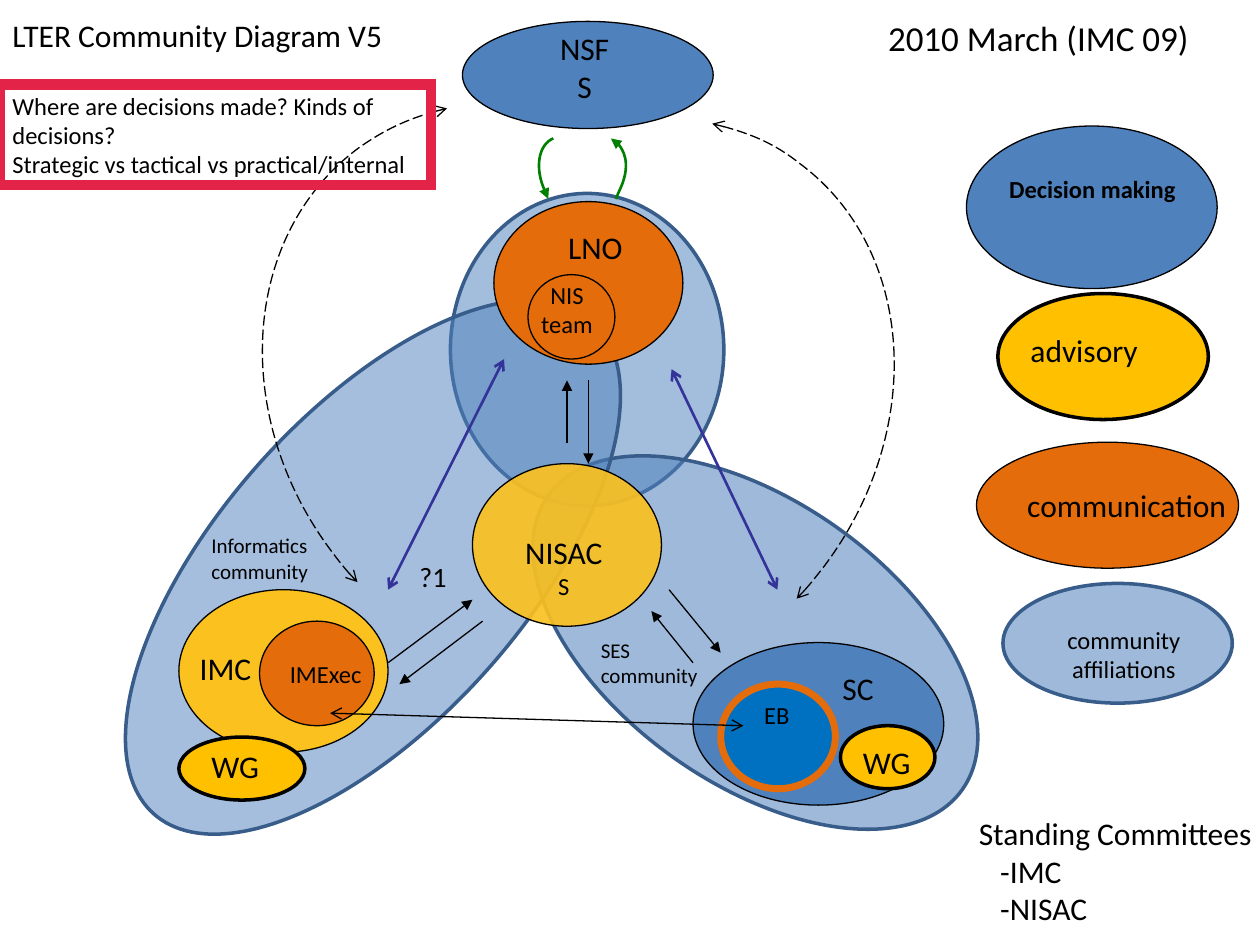
from math import cos, radians, sin

from lxml.etree import SubElement
from pptx import Presentation
from pptx.dml.color import RGBColor
from pptx.enum.dml import MSO_LINE
from pptx.enum.shapes import MSO_CONNECTOR, MSO_SHAPE
from pptx.enum.text import MSO_ANCHOR, MSO_AUTO_SIZE, PP_ALIGN
from pptx.oxml.ns import qn
from pptx.util import Inches, Pt

BLACK, NAVY, GREEN, VIOLET, CRIMSON = "000000", "385D8A", "008000", "333399", "E42349"
BLUE, BRIGHT_BLUE, ORANGE = "4F81BD", "0070C0", "E46C0A"
YELLOW, AMBER = "FBC11F", "FFC000"


def rgb(color):
    """Turn a hex string into a colour."""
    return RGBColor.from_string(color)


def outline(shape, color, width):
    """Give a shape or connector its line colour and width."""
    shape.line.color.rgb = rgb(color)
    shape.line.width = Pt(width)


def add_arrowheads(shape, head=None, tail=None):
    """Put arrowheads on the start and the end of a line."""
    line = shape.line._get_or_add_ln()
    for tag, kind in (("a:headEnd", head), ("a:tailEnd", tail)):
        if kind:
            SubElement(line, qn(tag), type=kind)


def write(shape, text, size=18, bold=False, align=PP_ALIGN.LEFT, wrap=True,
          anchor=MSO_ANCHOR.TOP, autofit=MSO_AUTO_SIZE.SHAPE_TO_FIT_TEXT,
          last_size=None, indent=0):
    """Fill a shape with one paragraph per line of text."""
    frame = shape.text_frame
    frame.word_wrap = wrap
    frame.auto_size = autofit
    frame.vertical_anchor = anchor
    lines = text.split("\n")
    for number, line in enumerate(lines):
        paragraph = frame.paragraphs[0] if number == 0 else frame.add_paragraph()
        paragraph.alignment = align
        if indent and number:
            paragraph._p.get_or_add_pPr().set("marL", str(Inches(indent)))
        run = paragraph.add_run()
        run.text = line
        is_last = number == len(lines) - 1
        run.font.size = Pt(last_size if last_size and is_last else size)
        run.font.name = "Calibri"
        run.font.bold = bold
        run.font.color.rgb = rgb(BLACK)


def add_label(shapes, box, text, **style):
    """Place a text box."""
    write(shapes.add_textbox(*map(Inches, box)), text, **style)


def add_centered(shapes, box, text, **style):
    """Place a text box with centred paragraphs."""
    add_label(shapes, box, text, align=PP_ALIGN.CENTER, **style)


def add_ellipse(shapes, box, fill, line=BLACK, width=0.75, opacity=None, rotation=0):
    """Draw an ellipse, with an optional opacity in percent."""
    ellipse = shapes.add_shape(MSO_SHAPE.OVAL, *map(Inches, box))
    ellipse.shadow.inherit = False
    ellipse.rotation = rotation
    ellipse.fill.solid()
    ellipse.fill.fore_color.rgb = rgb(fill)
    if opacity:
        color = ellipse._element.spPr.find(qn("a:solidFill"))[0]
        SubElement(color, qn("a:alpha"), val=str(opacity * 1000))
    outline(ellipse, line, width)
    return ellipse


def add_community(shapes, box, opacity, rotation):
    """Draw a translucent community ellipse."""
    add_ellipse(shapes, box, BLUE, NAVY, 2, opacity, rotation)


def add_arrow(shapes, start, end, color=BLACK, width=0.75, head=None, tail="triangle"):
    """Draw a straight arrow."""
    arrow = shapes.add_connector(MSO_CONNECTOR.STRAIGHT, *map(Inches, start + end))
    outline(arrow, color, width)
    add_arrowheads(arrow, head, tail)
    SubElement(arrow._element.spPr, qn("a:effectLst"))


def turn_back(point, center, angle):
    """Undo a rotation of a point and return it in slide units."""
    x, y = point[0] - center[0], point[1] - center[1]
    c, s = cos(radians(angle)), sin(radians(angle))
    return Inches(center[0] + x * c + y * s), Inches(center[1] - x * s + y * c)


def add_curve(shapes, nodes, center, rotation, color, width, head=None, tail=None, dash=None):
    """Draw a rotated open curve through chained cubic pieces."""
    start, *others = [turn_back(node, center, rotation) for node in nodes]
    builder = shapes.build_freeform(*start)
    builder.add_line_segments(others, close=False)
    curve = builder.convert_to_shape()
    segments = list(curve._element.iter(qn("a:lnTo")))
    outline_data = segments[0].getparent()
    for first in range(0, len(segments), 3):
        piece = SubElement(outline_data, qn("a:cubicBezTo"))
        for segment in segments[first:first + 3]:
            piece.append(segment[0])
            outline_data.remove(segment)
    curve.rotation = rotation
    curve.shadow.inherit = False
    curve.fill.background()
    outline(curve, color, width)
    if dash:
        curve.line.dash_style = dash
    add_arrowheads(curve, head, tail)


def add_question(shapes):
    """Draw the framed question."""
    frame = shapes.add_shape(MSO_SHAPE.RECTANGLE, *map(Inches, (0, 0.67, 3.42, 0.8)))
    frame.shadow.inherit = False
    frame.fill.background()
    outline(frame, CRIMSON, 6)
    SubElement(frame.line._get_or_add_ln(), qn("a:miter"), lim="800000")
    write(frame, "Where are decisions made? Kinds of decisions?\n"
                 "Strategic vs tactical vs practical/internal",
          size=14, autofit=MSO_AUTO_SIZE.NONE)


def add_loops(shapes):
    """Draw the curved links from the top ellipse."""
    add_curve(shapes, [(4.85, 1.1), (4.97, 1.15), (5, 1.35), (4.91, 1.53),
                       (4.9, 1.55), (4.9, 1.56), (4.89, 1.58)],
              (4.87, 1.34), 25.8, GREEN, 1.5, head="triangle")
    add_curve(shapes, [(4.39, 1.1), (4.27, 1.15), (4.24, 1.35), (4.33, 1.53),
                       (4.33, 1.55), (4.34, 1.56), (4.35, 1.58)],
              (4.37, 1.34), 334.2, GREEN, 1.5, tail="triangle")
    right = [(5.65, 0.98), (5.91, 1.04), (6.15, 1.14), (6.35, 1.3), (7.26, 1.98),
             (7.35, 3.41), (6.54, 4.49), (6.47, 4.58), (6.4, 4.67), (6.32, 4.75)]
    left = [(3.54, 0.86), (3.28, 0.92), (3.04, 1.03), (2.83, 1.18), (1.91, 1.87),
            (1.82, 3.3), (2.62, 4.37), (2.68, 4.45), (2.75, 4.54), (2.83, 4.62)]
    for nodes, center, rotation in ((right, (6.05, 2.8), 36.8), (left, (3.13, 2.69), 323.2)):
        add_curve(shapes, nodes, center, rotation, BLACK, 0.75,
                  "arrow", "arrow", MSO_LINE.LONG_DASH)


def main():
    """Build the community diagram."""
    deck = Presentation()
    deck.slide_width, deck.slide_height = Inches(10), Inches(7.5)
    shapes = deck.slides.add_slide(deck.slide_layouts[6]).shapes

    add_community(shapes, (3.42, 1.69, 2.48, 2.17), 52, 90)
    add_ellipse(shapes, (7.67, 1, 1.99, 1.29), BLUE)
    add_community(shapes, (3.98, 3.98, 4.03, 2.24), 55, 35.4)
    add_community(shapes, (0.34, 3.28, 5.24, 2.44), 51, 311.6)
    add_ellipse(shapes, (3.67, 0.17, 1.99, 0.85), BLUE)
    add_arrow(shapes, (3.08, 5.26), (3.75, 4.76))
    add_arrow(shapes, (3.83, 4.93), (3.17, 5.43))
    add_centered(shapes, (4.08, 0.18, 1.12, 0.7), "NSF\nS")
    add_ellipse(shapes, (1.42, 4.68, 1.66, 1.29), YELLOW)
    add_centered(shapes, (0.83, 5.1, 1.92, 0.4), "IMC")
    add_ellipse(shapes, (5.5, 5.1, 1.99, 1.29), BLUE)
    add_centered(shapes, (6.25, 5.26, 1.12, 0.4), "SC")
    executive = shapes.add_group_shape().shapes
    add_ellipse(executive, (2.06, 4.93, 0.91, 0.83), ORANGE)
    add_centered(executive, (1.92, 5.18, 1.33, 0.34), "IMExec", size=14)
    add_ellipse(shapes, (3.75, 3.68, 1.5, 1.29), YELLOW, opacity=91)
    add_centered(shapes, (3.83, 4.18, 1.29, 0.64), "NISAC\nS", last_size=14)
    office = shapes.add_group_shape().shapes
    add_ellipse(office, (3.92, 1.6, 1.5, 1.29), ORANGE)
    add_centered(office, (4.08, 1.76, 1.29, 0.4), "LNO")
    add_loops(shapes)

    add_ellipse(shapes, (1.42, 5.85, 1, 0.5), AMBER, width=2)
    add_label(shapes, (1.58, 5.88, 1, 0.4), "WG")
    add_ellipse(shapes, (6.67, 5.76, 0.75, 0.5), AMBER, width=2)
    add_label(shapes, (6.75, 5.85, 0.75, 0.4), "WG")
    add_label(shapes, (1.58, 4.18, 1.5, 0.5), "Informatics community", size=12)
    add_label(shapes, (4.67, 5.01, 1.67, 0.5), "SES\ncommunity", size=12)
    add_label(shapes, (6.95, 0.08, 2.96, 0.44), "2010 March (IMC 09)", size=20)
    add_question(shapes)
    add_label(shapes, (0, 0.08, 3.58, 0.4), "LTER Community Diagram V5")
    add_ellipse(shapes, (5.72, 5.43, 0.91, 0.83), BRIGHT_BLUE, ORANGE, 4)
    add_centered(shapes, (5.75, 5.51, 0.83, 0.34), "EB", size=14)
    add_arrow(shapes, (4, 2.85), (3.08, 4.68), VIOLET, 1.5, "arrow", "arrow")
    add_arrow(shapes, (5.33, 2.93), (6.17, 4.68), VIOLET, 1.5, "arrow", "arrow")

    add_centered(shapes, (7.42, 1.33, 2.5, 0.34), "Decision making", size=14, bold=True)
    add_ellipse(shapes, (7.92, 2.33, 1.67, 1), AMBER, width=2)
    add_label(shapes, (8.08, 2.58, 1.5, 0.4), "advisory")
    add_label(shapes, (7.67, 6.41, 2.37, 1), "Standing Committees\n-IMC\n-NISAC",
              wrap=False, indent=0.17)
    add_arrow(shapes, (5.9, 5.76), (2.62, 5.66), head="arrow", tail="arrow")
    add_arrow(shapes, (5.31, 4.68), (5.72, 5.18))
    communication = add_ellipse(shapes, (7.75, 3.51, 2.08, 1), ORANGE)
    write(communication, "communication", wrap=False, anchor=MSO_ANCHOR.MIDDLE,
          autofit=MSO_AUTO_SIZE.NONE)
    add_arrow(shapes, (5.5, 5.26), (5.17, 4.85))
    add_label(shapes, (3.23, 4.39, 0.45, 0.37), "?1", size=16)
    add_community(shapes, (7.96, 4.63, 1.82, 0.95), 55, 180)
    add_centered(shapes, (8.05, 4.91, 1.74, 0.57), "community affiliations", size=14)
    team = shapes.add_group_shape().shapes
    add_ellipse(team, (4.19, 2.18, 0.69, 0.67), ORANGE)
    add_centered(team, (4, 2.17, 1, 0.57), "NIS\nteam", size=14)
    add_arrow(shapes, (4.5, 3.52), (4.5, 3.02))
    add_arrow(shapes, (4.67, 3.02), (4.67, 3.68))
    deck.save("out.pptx")


if __name__ == "__main__":
    main()
